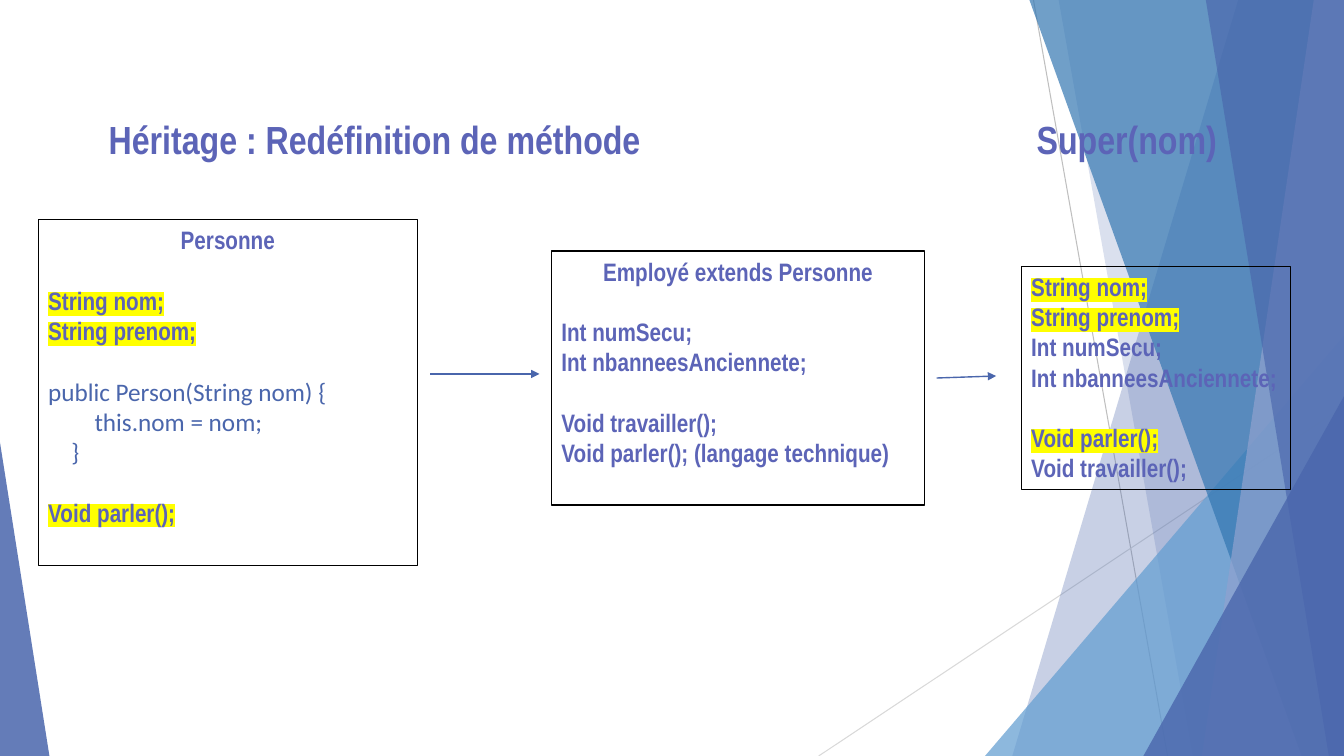
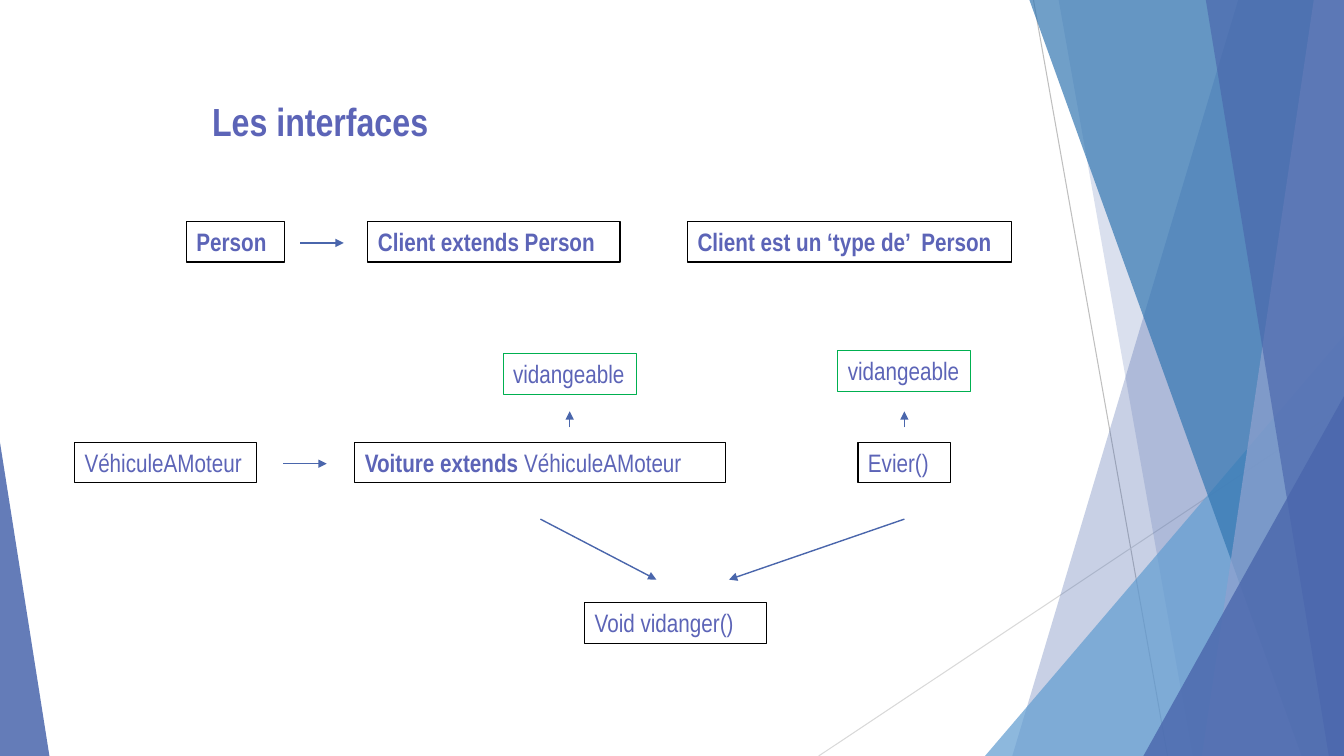
from collections import namedtuple
from dataclasses import dataclass

from lxml import etree
from pptx import Presentation
from pptx import util as u
from pptx.dml.color import RGBColor
from pptx.enum import shapes, text
from pptx.oxml import ns


@dataclass(frozen=True)
class Theme:
    font: str = "Arial Narrow"
    code_font: str = "Calibri"
    title_size: int = 28
    body_size: int = 18
    blank_line: float = 21.6
    ink: str = "5C64B7"
    blue: str = "4A66AC"
    sky: str = "629DD1"
    deep: str = "3477B2"
    pale: str = "90A2CF"
    black: str = "000000"
    green: str = "00B050"
    mark: str = "FFFF00"
    rule_dark: str = "BFBFBF"
    rule_light: str = "D9D9D9"
    outline: float = 0.75
    arrow: float = 1


T = Theme()
W, H = 13.33, 7.5
LABEL_H = 0.4
Box = namedtuple("Box", "x y w h")
Run = namedtuple("Run", "words bold mark font color",
                 defaults=(True, False, T.font, T.ink))
# A line of text: its runs, blank lines before it, left indent, centred or not
Line = namedtuple("Line", "runs gap indent center", defaults=(0, 0, False))


def inches(*values):
    return [u.Inches(v) for v in values]


def rgb(code):
    return RGBColor.from_string(code)


def add_xml(parent, tag, **attrs):
    return etree.SubElement(parent, ns.qn(tag), **attrs)


# ---- Text ----
def add_run(p, run, size):
    r = p.add_run()
    r.text = run.words
    r.font.size = u.Pt(size)
    r.font.bold = run.bold
    r.font.name = run.font
    r.font.color.rgb = rgb(run.color)
    if run.mark:
        rpr = r._r.get_or_add_rPr()
        highlight = etree.Element(ns.qn("a:highlight"))
        add_xml(highlight, "a:srgbClr", val=T.mark)
        rpr.find(ns.qn("a:solidFill")).addnext(highlight)


def write(tf, lines, size=T.body_size):
    tf.vertical_anchor = text.MSO_ANCHOR.TOP
    for i, line in enumerate(lines):
        p = tf.paragraphs[0] if i == 0 else tf.add_paragraph()
        p.alignment = text.PP_ALIGN.CENTER if line.center else text.PP_ALIGN.LEFT
        if line.gap:
            p.space_before = u.Pt(line.gap * T.blank_line)
        if line.indent:
            p._p.get_or_add_pPr().set("marL", str(u.Inches(line.indent)))
        for run in line.runs:
            add_run(p, run, size)


def one(words, gap=0, center=False, **style):
    return Line([Run(words, **style)], gap=gap, center=center)


def code(words, gap=0, indent=0):
    return Line([Run(words, False, False, T.code_font, T.blue)], gap, indent)


def title(s, box, words):
    tf = s.shapes.add_textbox(*inches(*box)).text_frame
    tf.word_wrap = True
    write(tf, [one(words, center=True)], T.title_size)
    tf.paragraphs[0].line_spacing = 0.9


# ---- Shapes ----
def frame(s, box, lines, line_color=T.black, wrap=True):
    sp = s.shapes.add_shape(shapes.MSO_SHAPE.RECTANGLE, *inches(*box))
    sp.shadow.inherit = False
    sp.fill.background()
    sp.line.color.rgb = rgb(line_color)
    sp.line.width = u.Pt(T.outline)
    sp.text_frame.word_wrap = wrap
    write(sp.text_frame, lines)


def label(s, x, y, w, words, bold=False, **style):
    frame(s, Box(x, y, w, LABEL_H), [one(words, bold=bold)], **style)


def segment(s, x1, y1, x2, y2, color, width):
    c = s.shapes.add_connector(shapes.MSO_CONNECTOR.STRAIGHT,
                               *inches(x1, y1, x2, y2))
    c.line.color.rgb = rgb(color)
    c.line.width = u.Pt(width)
    add_xml(c._element.spPr, "a:effectLst")
    return c


def arrow(s, x1, y1, x2, y2):
    c = segment(s, x1, y1, x2, y2, T.blue, T.arrow)
    add_xml(c.line._get_or_add_ln(), "a:tailEnd", type="triangle")


def tint(sp, color, alpha):
    sp.shadow.inherit = False
    sp.line.fill.background()
    sp.fill.solid()
    sp.fill.fore_color.rgb = rgb(color)
    clr = sp._element.spPr.find(ns.qn("a:solidFill"))[0]
    add_xml(clr, "a:alpha", val=str(alpha * 1000))


# ---- Shared background ----
def band(s, top_x, bottom_x, color, alpha):
    """Strip from a slanted left edge to the right side of the slide."""
    fb = s.shapes.build_freeform(u.Inches(top_x), 0)
    corners = [(W, 0), (W, H), (bottom_x, H)]
    fb.add_line_segments([inches(*c) for c in corners], close=True)
    tint(fb.convert_to_shape(), color, alpha)


def corner(s, x, w, h, apex, color, alpha):
    """Triangle standing on the bottom edge."""
    sp = s.shapes.add_shape(shapes.MSO_SHAPE.ISOSCELES_TRIANGLE,
                            *inches(x, H - h, w, h))
    sp.adjustments[0] = apex
    tint(sp, color, alpha)


def backdrop(s):
    segment(s, 10.25, 0, 11.58, H, T.rule_dark, T.outline)
    segment(s, W, 4.03, 8.12, H, T.rule_light, T.outline)
    band(s, 12.28, 10.04, T.blue, 30)
    band(s, 10.5, 11.83, T.blue, 20)
    corner(s, 9.77, 3.56, 4.17, 1, T.sky, 72)
    band(s, 10.21, 12.91, T.deep, 70)
    band(s, 13.03, 11.92, T.pale, 70)
    band(s, 11.96, 13.18, T.blue, 65)
    corner(s, 11.34, 1.99, 3.57, 1, T.blue, 80)
    corner(s, 0, 0.49, 3.11, 0, T.blue, 85)


def new_slide(prs):
    s = prs.slides.add_slide(prs.slide_layouts[6])
    backdrop(s)
    return s


# ---- Slide 1: overriding a method ----
def override_slide(prs):
    s = new_slide(prs)
    title(s, Box(0.38, 1.15, 6.67, 0.53), "Héritage : Redéfinition de méthode")
    inherited = [one("String nom;", mark=True), one("String prenom;", mark=True)]
    own = [one("Int numSecu;"), one("Int nbanneesAnciennete;")]
    speak = one("Void parler();", gap=1, mark=True)

    # Parent class, child class, and the resulting members
    frame(s, Box(0.38, 2.18, 3.76, 3.43), [
        one("Personne", center=True),
        inherited[0]._replace(gap=1), inherited[1],
        code("public Person(String nom) {", gap=1),
        code("this.nom = nom;", indent=0.46),
        code("}", indent=0.23),
        speak])
    frame(s, Box(5.47, 2.49, 3.7, 2.52), [
        one("Employé extends Personne", center=True),
        own[0]._replace(gap=1), own[1],
        one("Void travailler();", gap=1),
        one("Void parler(); (langage technique)")])
    arrow(s, 4.27, 3.71, 5.35, 3.71)
    frame(s, Box(10.13, 2.64, 2.67, 2.22),
          inherited + own + [speak, one("Void travailler();")])
    arrow(s, 9.29, 3.75, 9.88, 3.73)
    title(s, Box(9.63, 1.15, 3.09, 0.53), "Super(nom)")


# ---- Slide 2: interfaces ----
def person_row(s, box):
    x, y = box.x, box.y
    label(s, x, y, 0.97, "Person", bold=True)
    label(s, x + 1.8, y, 2.5, "Client extends Person", bold=True)
    label(s, x + 4.97, y, 3.21, "Client est un ‘type de’  Person", bold=True)
    arrow(s, x + 1.13, y + 0.21, x + 1.56, y + 0.21)


def interface_tag(s, center_x, y, class_y):
    """Green interface name above the class that implements it."""
    w = 1.32
    label(s, center_x - w / 2, y, w, "vidangeable",
          line_color=T.green, wrap=False)
    arrow(s, center_x, class_y - 0.15, center_x, class_y - 0.31)


def vehicle_region(s, box):
    x, y = box.x, box.y
    class_y = y + 0.91
    car_x, sink_x = x + 4.91, x + 8.23

    # Classes
    label(s, x, class_y, 1.8, "VéhiculeAMoteur")
    frame(s, Box(x + 2.78, class_y, 3.68, LABEL_H),
          [Line([Run("Voiture extends "), Run("VéhiculeAMoteur", False)])])
    arrow(s, x + 2.07, class_y + 0.21, x + 2.5, class_y + 0.21)
    label(s, sink_x - 0.46, class_y, 0.92, "Evier()")

    # Common method
    label(s, x + 5.06, y + box.h - LABEL_H, 1.8, "Void vidanger()")
    arrow(s, x + 4.62, y + 1.67, x + 5.77, y + 2.27)
    arrow(s, sink_x, y + 1.67, x + 6.49, y + 2.27)

    # Interface of each class
    interface_tag(s, car_x, y + 0.03, class_y)
    interface_tag(s, sink_x, y, class_y)


def interfaces_slide(prs):
    s = new_slide(prs)
    title(s, Box(-0.16, 0.97, 6.67, 0.53), "Les interfaces")
    person_row(s, Box(1.85, 2.2, 8.18, LABEL_H))
    vehicle_region(s, Box(0.74, 3.48, 8.89, 2.9))


prs = Presentation()
prs.slide_width, prs.slide_height = inches(W, H)
override_slide(prs)
interfaces_slide(prs)
prs.save("out.pptx")
